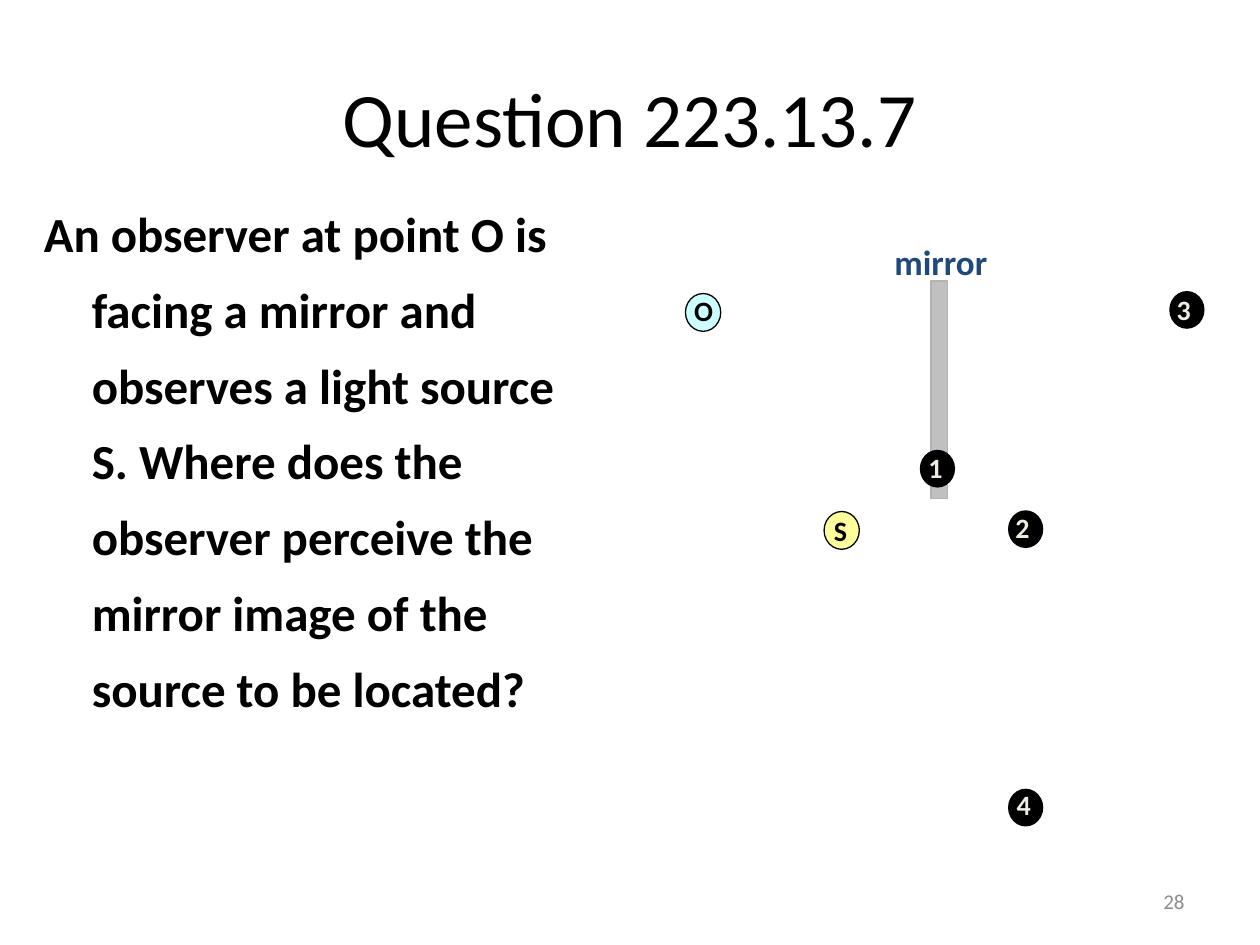
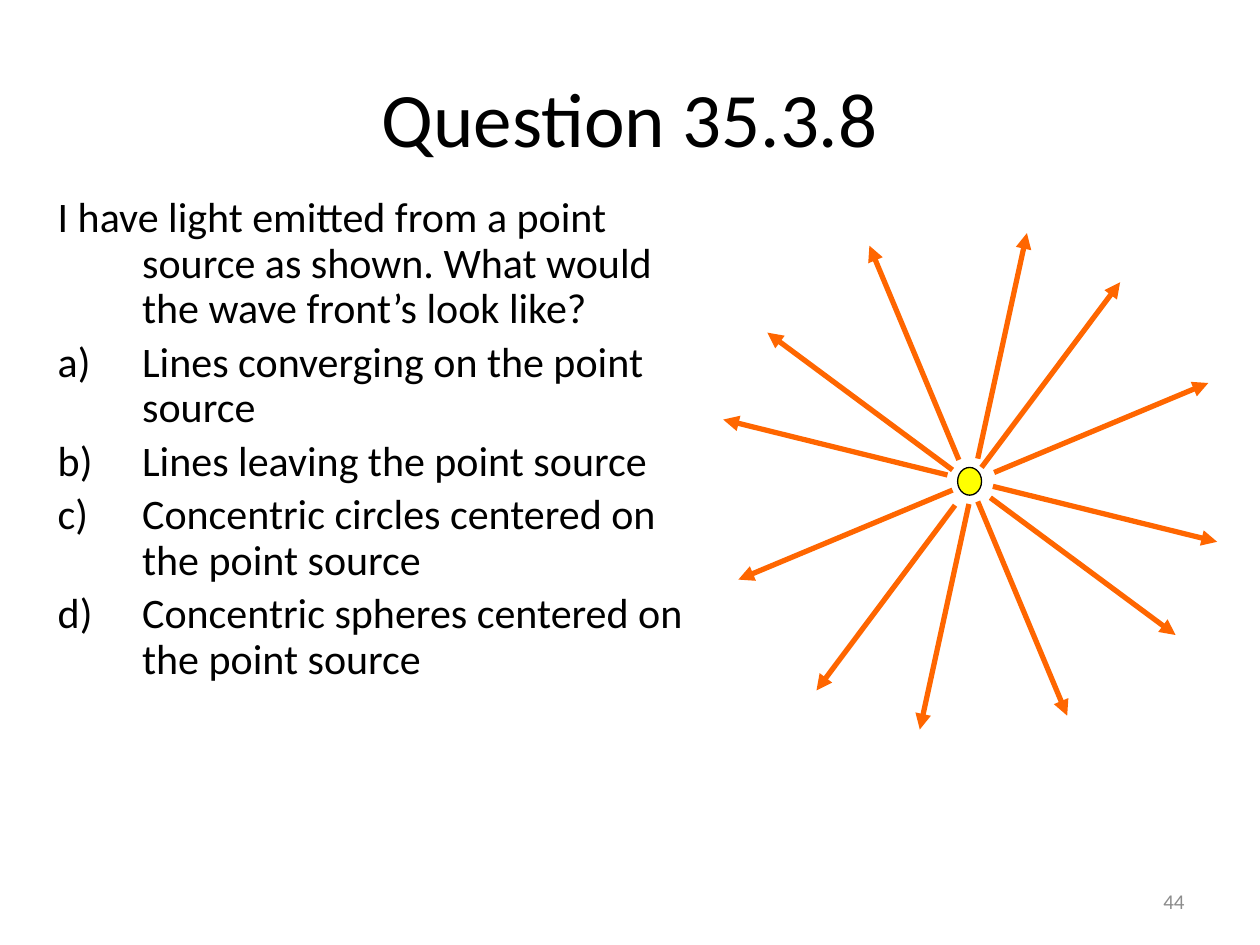
from dataclasses import dataclass

from lxml.etree import SubElement
from pptx import Presentation
from pptx.dml.color import RGBColor
from pptx.enum.shapes import MSO_CONNECTOR, MSO_SHAPE
from pptx.enum.text import MSO_ANCHOR, MSO_AUTO_SIZE, PP_ALIGN
from pptx.oxml.ns import qn
from pptx.util import Pt

# Shared look
EMU_PER_PX = 9144  # 100 px to the inch
FONT = "Calibri"
BLACK = "000000"
IVORY = "EEECE1"
NAVY = "1F497D"
GREY = "8C8C8C"
ORANGE = "FF6600"


@dataclass(frozen=True)
class Box:
    left: int
    top: int
    width: int
    height: int

    def emu(self) -> list[int]:
        return [px(value) for value in (self.left, self.top, self.width, self.height)]


@dataclass(frozen=True)
class TextStyle:
    size: int
    color: str = BLACK
    bold: bool = False
    align: PP_ALIGN = PP_ALIGN.LEFT
    anchor: MSO_ANCHOR = MSO_ANCHOR.TOP
    line_spacing: float = 1.0
    hanging: int = 0
    fitted: bool = False  # one unwrapped line, box fitted to the text


@dataclass(frozen=True)
class Marker:
    label: str
    left: int
    top: int
    label_box: Box
    fill: str = BLACK
    outline: str | None = None
    label_color: str = IVORY


@dataclass(frozen=True)
class RayPair:
    """Two rays of equal length that leave the source in opposite directions."""
    first_start: tuple[int, int]
    second_start: tuple[int, int]
    run: int
    rise: int


TITLE_BOX = Box(50, 30, 900, 125)
NUMBER_BOX = Box(717, 695, 233, 40)
TITLE_STYLE = TextStyle(44, align=PP_ALIGN.CENTER, anchor=MSO_ANCHOR.MIDDLE)
NUMBER_STYLE = TextStyle(12, GREY, align=PP_ALIGN.RIGHT, anchor=MSO_ANCHOR.MIDDLE)

# Mirror slide
MIRROR_QUESTION = (
    "An observer at point O is facing a mirror and observes a light source S. "
    "Where does the observer perceive the mirror image of the source to be located?"
)
MARKERS = [
    Marker("O", 544, 233, Box(541, 231, 38, 34), "CCFFFF", BLACK, BLACK),
    Marker("S", 654, 406, Box(652, 406, 35, 34), "FFFF99", BLACK, BLACK),
    Marker("1", 730, 357, Box(727, 356, 32, 34)),
    Marker("2", 800, 405, Box(796, 403, 32, 34)),
    Marker("3", 928, 231, Box(924, 230, 32, 34)),
    Marker("4", 800, 626, Box(797, 623, 32, 34)),
]

# Wave front slide
WAVE_QUESTION = (
    "I have light emitted from a point source as shown. "
    "What would the wave front’s look like?"
)
WAVE_ANSWERS = [
    "Lines converging on the point source",
    "Lines leaving the point source",
    "Concentric circles centered on the point source",
    "Concentric spheres centered on the point source",
]
RAY_PAIRS = [
    RayPair((758, 401), (779, 371), -110, 147),
    RayPair((756, 389), (789, 375), -170, 71),
    RayPair((752, 377), (788, 386), -178, -44),
    RayPair((756, 373), (786, 395), -147, -109),
    RayPair((776, 364), (769, 400), 39, -179),
    RayPair((761, 365), (776, 398), -71, -170),
]


def px(value: int) -> int:
    return value * EMU_PER_PX


def rgb(color: str) -> RGBColor:
    return RGBColor.from_string(color)


def add_text(slide, box: Box, lines: list[str], style: TextStyle, numbered_from: int | None = None) -> None:
    """Write paragraphs; those from index numbered_from on are lettered a), b), ..."""
    text_frame = slide.shapes.add_textbox(*box.emu()).text_frame
    text_frame.word_wrap = not style.fitted
    text_frame.auto_size = MSO_AUTO_SIZE.SHAPE_TO_FIT_TEXT if style.fitted else MSO_AUTO_SIZE.NONE
    text_frame.vertical_anchor = style.anchor
    text_frame.text = "\n".join(lines)
    for index, paragraph in enumerate(text_frame.paragraphs):
        properties = paragraph._p.get_or_add_pPr()
        if style.hanging:
            properties.set("marL", str(px(style.hanging)))
            properties.set("indent", str(-px(style.hanging)))
        if numbered_from is not None and index >= numbered_from:
            SubElement(properties, qn("a:buAutoNum"), type="alphaLcParenR")
        paragraph.alignment = style.align
        paragraph.line_spacing = style.line_spacing
        if index:
            paragraph.space_before = Pt(style.size * 0.2)
        for run in paragraph.runs:
            run.font.name = FONT
            run.font.size = Pt(style.size)
            run.font.bold = style.bold
            run.font.color.rgb = rgb(style.color)


def add_figure(slide, kind: MSO_SHAPE, box: Box, fill: str, outline: str | None = None) -> None:
    shape = slide.shapes.add_shape(kind, *box.emu())
    shape.shadow.inherit = False
    shape.fill.solid()
    shape.fill.fore_color.rgb = rgb(fill)
    if outline:
        shape.line.color.rgb = rgb(outline)
        shape.line.width = Pt(0.75)
    else:
        shape.line.fill.background()


def add_marker(slide, marker: Marker) -> None:
    add_figure(slide, MSO_SHAPE.OVAL, Box(marker.left, marker.top, 28, 30), marker.fill, marker.outline)
    style = TextStyle(16, marker.label_color, bold=True, line_spacing=0.9, fitted=True)
    add_text(slide, marker.label_box, [marker.label], style)


def add_ray(slide, start: tuple[int, int], run: int, rise: int) -> None:
    x, y = start
    connector = slide.shapes.add_connector(
        MSO_CONNECTOR.STRAIGHT, px(x), px(y), px(x + run), px(y + rise)
    )
    connector.line.color.rgb = rgb(ORANGE)
    connector.line.width = Pt(3)
    properties = connector.element.spPr
    SubElement(properties.find(qn("a:ln")), qn("a:tailEnd"), type="triangle")
    SubElement(properties, qn("a:effectLst"))


def add_question_slide(presentation, title: str, number: int):
    slide = presentation.slides.add_slide(presentation.slide_layouts[6])
    add_text(slide, TITLE_BOX, [title], TITLE_STYLE)
    add_text(slide, NUMBER_BOX, [str(number)], NUMBER_STYLE)
    return slide


def build_mirror_slide(presentation) -> None:
    slide = add_question_slide(presentation, "Question 223.13.7", 28)
    question_style = TextStyle(28, bold=True, line_spacing=1.29, hanging=38)
    add_text(slide, Box(25, 143, 462, 495), [MIRROR_QUESTION], question_style)

    # Mirror with its label, then the observer, source and candidate points
    add_figure(slide, MSO_SHAPE.RECTANGLE, Box(739, 223, 13, 173), "C0C0C0", "B2B2B2")
    label_style = TextStyle(20, NAVY, bold=True, line_spacing=0.9, fitted=True)
    add_text(slide, Box(700, 190, 102, 40), ["mirror"], label_style)
    for marker in MARKERS:
        add_marker(slide, marker)


def build_wave_front_slide(presentation) -> None:
    slide = add_question_slide(presentation, "Question 35.3.8", 44)
    question_style = TextStyle(24, line_spacing=0.9, hanging=67)
    add_text(slide, Box(36, 151, 520, 547), [WAVE_QUESTION, *WAVE_ANSWERS], question_style, numbered_from=1)

    # Point source and its rays
    add_figure(slide, MSO_SHAPE.OVAL, Box(760, 371, 19, 22), "FFFF00", BLACK)
    for pair in RAY_PAIRS:
        add_ray(slide, pair.first_start, pair.run, pair.rise)
        add_ray(slide, pair.second_start, -pair.run, -pair.rise)


def main() -> None:
    presentation = Presentation()
    presentation.slide_width = px(1000)
    presentation.slide_height = px(750)
    build_mirror_slide(presentation)
    build_wave_front_slide(presentation)
    presentation.save("out.pptx")


if __name__ == "__main__":
    main()
